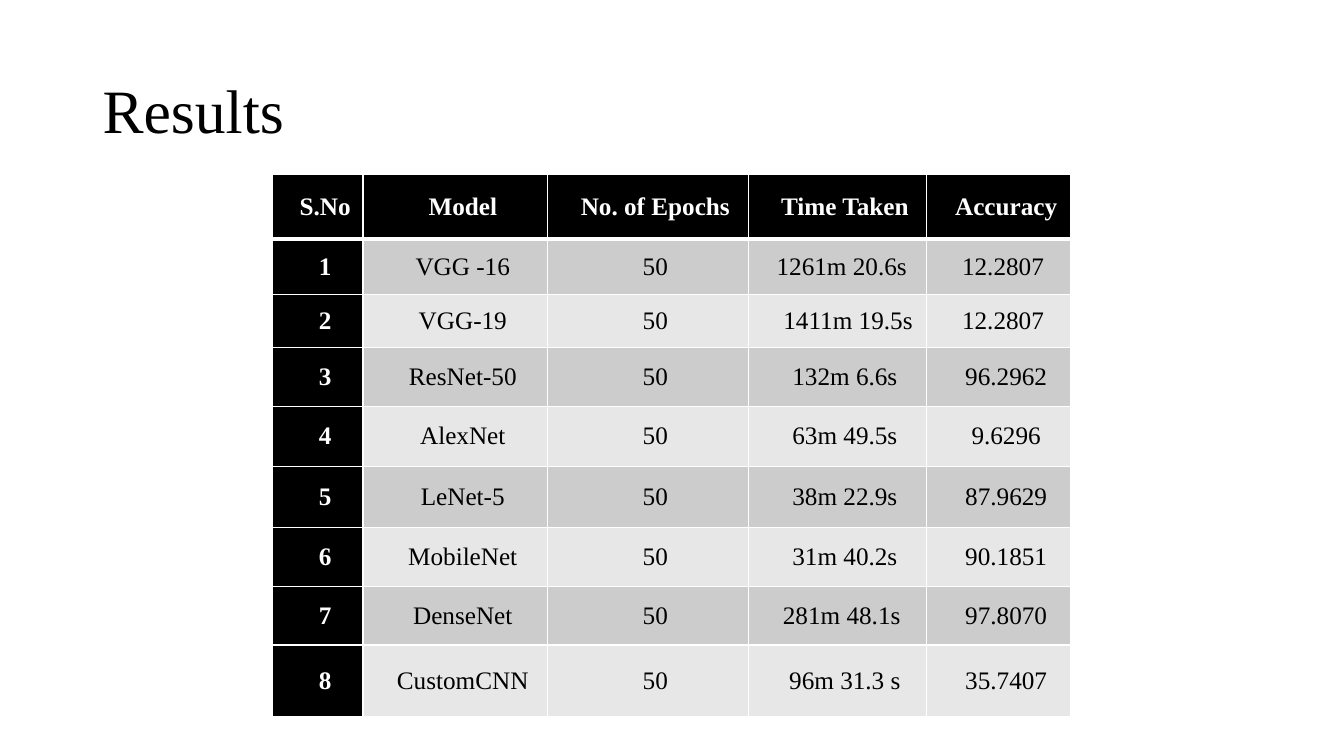
from lxml import etree
from pptx import Presentation
from pptx.dml.color import RGBColor
from pptx.enum.text import MSO_ANCHOR, PP_ALIGN
from pptx.oxml.ns import qn
from pptx.util import Pt

MIDDLE = MSO_ANCHOR.MIDDLE
CENTER = PP_ALIGN.CENTER
LEFT = PP_ALIGN.LEFT

PX = 9144
COLORS = {"black": "000000", "white": "FFFFFF", "odd": "CCCCCC", "even": "E7E7E7"}
FONT = "Times New Roman"
PAGE_SIZE = (1333, 750)
TITLE_BOX = (92, 40, 1150, 145)
TABLE_BOX = (270, 173, 793, 537)
COLUMN_WIDTHS = (90, 183, 199, 177, 143)
ROW_HEIGHTS = (64, 55, 53, 58, 60, 60, 59, 58, 71)
FIRST_LINE_INDENT = 15
EPOCHS = "50"

HEADER = ("S.No", "Model", "No. of Epochs", "Time Taken", "Accuracy")
RESULTS = (
    ("VGG -16", "1261m 20.6s ", "12.2807 "),
    ("VGG-19", " 1411m 19.5s", "12.2807 "),
    ("ResNet-50", "132m 6.6s", "96.2962"),
    ("AlexNet", "63m 49.5s", "9.6296"),
    ("LeNet-5", "38m 22.9s", "87.9629"),
    ("MobileNet", "31m 40.2s", "90.1851"),
    ("DenseNet", "281m 48.1s ", "97.8070"),
    ("CustomCNN", "96m 31.3 s", "35.7407"),
)


def scaled(lengths):
    return [length * PX for length in lengths]


def set_attributes(target, values):
    for name, value in values.items():
        setattr(target, name, value)


def write_text(para, text, color, size, bold=False, align=LEFT):
    para.alignment = align
    span = para.add_run()
    span.text = text
    set_attributes(span.font, {"name": FONT, "size": Pt(size), "bold": bold})
    span.font.color.rgb = RGBColor.from_string(COLORS[color])


def set_borders(cell, widths):
    properties = cell._tc.get_or_add_tcPr()
    for position, (side, width) in enumerate(widths.items()):
        line = etree.Element(qn(f"a:ln{side}"), w=str(Pt(width)))
        fill = etree.SubElement(line, qn("a:solidFill"))
        etree.SubElement(fill, qn("a:srgbClr"), val=COLORS["white"])
        properties.insert(position, line)


def add_title(page, box, text):
    frame = page.shapes.add_textbox(*scaled(box)).text_frame
    set_attributes(frame, {"word_wrap": True, "vertical_anchor": MIDDLE})
    para = frame.paragraphs[0]
    para.line_spacing = 0.9
    write_text(para, text, "black", 44)


def fill_cell(cell, text, row, column):
    is_heading = row == 0 or column == 0
    background = "black" if is_heading else ("odd" if row % 2 else "even")
    set_attributes(cell, {
        "vertical_anchor": MIDDLE,
        "margin_left": 7 * PX,
        "margin_right": 7 * PX,
        "margin_top": 0,
        "margin_bottom": 0,
    })
    cell.fill.solid()
    cell.fill.fore_color.rgb = RGBColor.from_string(COLORS[background])
    set_borders(cell, {"L": 1, "R": 1, "T": 3 if row == 1 else 1, "B": 3 if row == 0 else 1})
    para = cell.text_frame.paragraphs[0]
    write_text(para, text, "white" if is_heading else "black", 18, is_heading, CENTER)
    para_format = para._p.get_or_add_pPr()
    para_format.set("marL", "0")
    para_format.set("indent", str(FIRST_LINE_INDENT * PX))


def add_results_table(page, box):
    rows = [HEADER] + [
        (str(number), model, EPOCHS, time_taken, accuracy)
        for number, (model, time_taken, accuracy) in enumerate(RESULTS, 1)
    ]
    table = page.shapes.add_table(len(rows), len(HEADER), *scaled(box)).table
    for column, width in zip(table.columns, scaled(COLUMN_WIDTHS)):
        column.width = width
    for row, height in zip(table.rows, scaled(ROW_HEIGHTS)):
        row.height = height
    for row, texts in enumerate(rows):
        for column, text in enumerate(texts):
            fill_cell(table.cell(row, column), text, row, column)


def main():
    deck = Presentation()
    deck.slide_width, deck.slide_height = scaled(PAGE_SIZE)
    page = deck.slides.add_slide(deck.slide_layouts[6])
    add_title(page, TITLE_BOX, "Results")
    add_results_table(page, TABLE_BOX)
    deck.save("out.pptx")


if __name__ == "__main__":
    main()
